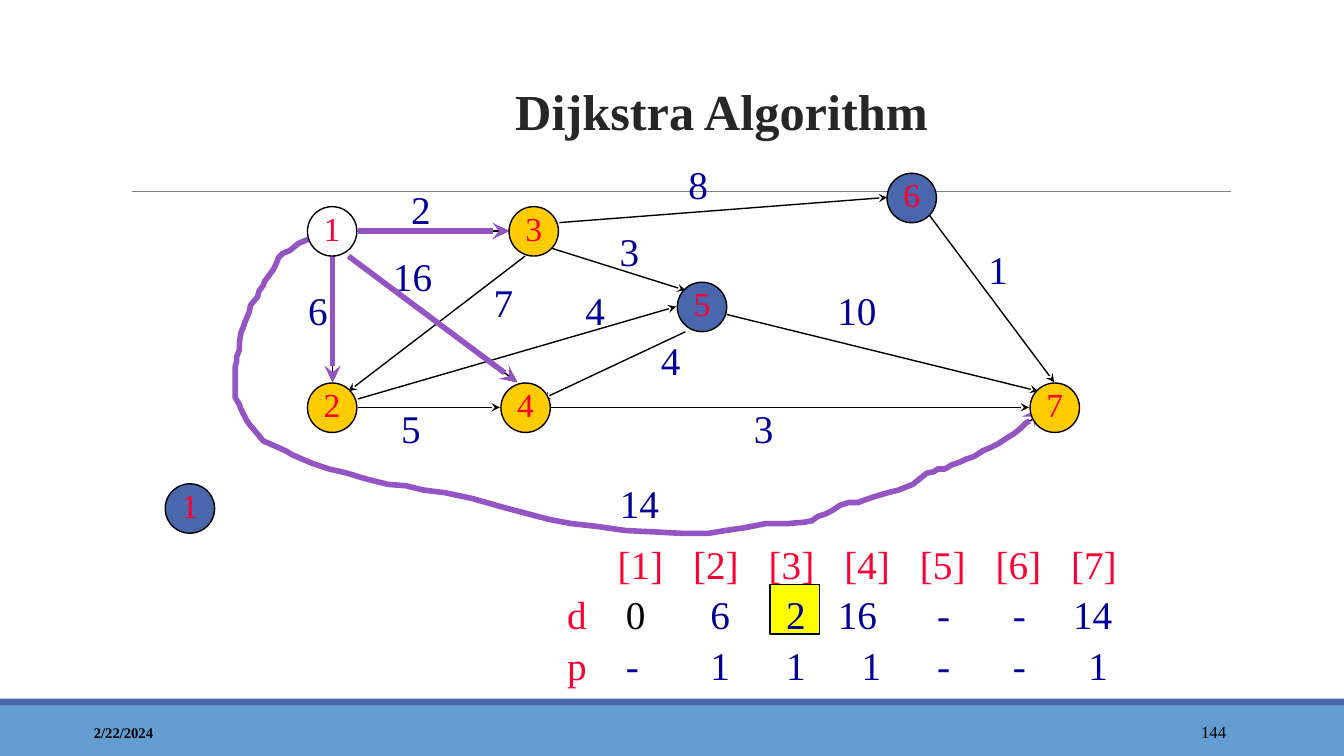
from typing import NamedTuple

from lxml import etree
from pptx import Presentation
from pptx.dml.color import RGBColor
from pptx.enum.shapes import MSO_CONNECTOR, MSO_SHAPE
from pptx.enum.text import MSO_ANCHOR, PP_ALIGN
from pptx.oxml.ns import qn
from pptx.util import Pt

STRAIGHT = MSO_CONNECTOR.STRAIGHT
RECT, OVAL = MSO_SHAPE.RECTANGLE, MSO_SHAPE.OVAL
TOP, MIDDLE, BOTTOM = MSO_ANCHOR.TOP, MSO_ANCHOR.MIDDLE, MSO_ANCHOR.BOTTOM
LEFT, CENTER, RIGHT = PP_ALIGN.LEFT, PP_ALIGN.CENTER, PP_ALIGN.RIGHT

FONT = "Times New Roman"
COLORS = {
    "black": "000000", "white": "FFFFFF", "title": "262626", "rule": "7F7F7F",
    "band": "629DD1", "blue": "4A66AC", "gold": "FFCC00", "yellow": "FFFF00",
    "purple": "9454C3", "red": "FF0033", "navy": "000099",
}
NODE_SIZE = 35.3
TEXT_H = 41
LABEL_SIZE = 28


class Node(NamedTuple):
    label: str
    x: float
    y: float
    fill: str


class Edge(NamedTuple):
    x1: float
    y1: float
    x2: float
    y2: float
    relaxed: bool = False


class Label(NamedTuple):
    text: str
    x: float
    y: float
    color: str = "navy"


NODES = [
    Node("1", 219.6, 147.6, "white"), Node("2", 219.6, 273.6, "gold"),
    Node("3", 363.6, 147.6, "gold"), Node("4", 357.8, 273.6, "gold"),
    Node("5", 483.8, 201.6, "blue"), Node("6", 633.6, 123.8, "blue"),
    Node("7", 735.8, 273.6, "gold"), Node("1", 118, 345.6, "blue"),
]
EDGES = [
    Edge(663, 152.6, 753, 273), Edge(399.6, 159, 633.6, 141),
    Edge(255.6, 165, 363.6, 165, True), Edge(237.6, 183, 237.6, 273, True),
    Edge(255.6, 291, 357, 291), Edge(249, 183, 369.4, 273, True),
    Edge(375, 183, 249, 279.4), Edge(393, 177, 489.6, 207.4),
    Edge(255.6, 285, 483, 219), Edge(489.6, 237, 387.4, 285),
    Edge(393, 291, 735, 291), Edge(519, 224.6, 741.6, 279.4),
]
WEIGHTS = [
    Label("2", 286.6, 129), Label("6", 213, 201), Label("16", 273.6, 177),
    Label("7", 345.6, 195), Label("8", 484.6, 111), Label("10", 591, 201),
    Label("3", 435.6, 159), Label("14", 435.6, 339), Label("4", 411, 201),
    Label("4", 465, 237), Label("5", 279.4, 285), Label("3", 531.4, 285),
    Label("1", 699, 171.4),
]
# Edge from node 1 round to node 7
CURVE = [
    (220, 171), (213, 174), (207, 179), (202, 181), (199, 184), (197, 189),
    (195, 193), (192, 197), (189, 201), (188, 204), (185, 208), (184, 212),
    (179, 218), (178, 223), (175, 230), (174, 233), (172, 238), (171, 245),
    (171, 250), (169, 255), (169, 258), (168, 262), (168, 284), (171, 289),
    (172, 292), (176, 300), (178, 303), (184, 310), (188, 315), (195, 318),
    (204, 322), (209, 325), (216, 328), (223, 331), (235, 335), (248, 338),
    (261, 342), (277, 346), (290, 347), (302, 350), (318, 352), (337, 356),
    (358, 362), (377, 367), (392, 371), (408, 374), (426, 376), (447, 379),
    (468, 380), (487, 381), (506, 381), (518, 379), (532, 377), (547, 374),
    (563, 374), (575, 373), (580, 372), (584, 369), (590, 367), (594, 365),
    (600, 361), (606, 359), (613, 359), (618, 357), (624, 355), (634, 352),
    (642, 350), (647, 348), (652, 346), (657, 342), (662, 338), (667, 337),
    (670, 335), (675, 335), (680, 332), (686, 330), (690, 328), (696, 326),
    (702, 322), (707, 320), (713, 317), (719, 313), (724, 310), (729, 306),
    (733, 302), (737, 300), (740, 296), (742, 292),
]
# Distances and predecessors: column lefts, then one string per node
HEAD_X, HEAD_Y, COL_W, ROW_H = 434, 382.4, 54, 36
VALUE_X = [440] + [500.4 + COL_W * i for i in range(6)]
ROWS = {"d": ["0", "6", "2", "16", "-", "-", "14"],
        "p": ["-", "1", "1", "1", "-", "-", "1"]}
WIDE_SHIFT = {"16": -17, "14": -11}


def rgb(name: str) -> RGBColor:
    return RGBColor.from_string(COLORS[name])


def write(tf, text: str, size: float, color: str, bold: bool = False,
          align=LEFT, anchor=TOP, spacing: float = 1.0) -> None:
    tf.word_wrap = True
    tf.vertical_anchor = anchor
    p = tf.paragraphs[0]
    p.alignment, p.line_spacing = align, spacing
    r = p.add_run()
    r.text = text
    r.font.name, r.font.size, r.font.bold = FONT, Pt(size), bold
    r.font.color.rgb = rgb(color)


def add_text(s, x: float, y: float, w: float, h: float, text: str,
             size: float, color: str, **style) -> None:
    sp = s.shapes.add_textbox(Pt(x), Pt(y), Pt(w), Pt(h))
    write(sp.text_frame, text, size, color, **style)


def add_label(s, label: Label) -> None:
    width = 18 + 15 * len(label.text)
    add_text(s, label.x, label.y, width, TEXT_H, label.text, LABEL_SIZE, label.color)


def add_box(s, kind, x: float, y: float, w: float, h: float, fill: str,
            outlined: bool = True):
    sp = s.shapes.add_shape(kind, Pt(x), Pt(y), Pt(w), Pt(h))
    sp.shadow.inherit = False
    sp.fill.solid()
    sp.fill.fore_color.rgb = rgb(fill)
    if outlined:
        sp.line.color.rgb, sp.line.width = rgb("black"), Pt(1)
    else:
        sp.line.fill.background()
    return sp


def add_node(s, node: Node) -> None:
    sp = add_box(s, OVAL, node.x, node.y, NODE_SIZE, NODE_SIZE, node.fill)
    tf = sp.text_frame
    tf.margin_left = tf.margin_right = tf.margin_top = 0
    tf.margin_bottom = Pt(5)
    write(tf, node.label, 24, "red", align=CENTER, anchor=MIDDLE)
    tf.word_wrap = False


def style_line(sp, color: str, width: float, arrow: bool = True) -> None:
    sp.line.color.rgb, sp.line.width = rgb(color), Pt(width)
    if arrow:
        ln = sp.line._get_or_add_ln()
        etree.SubElement(ln, qn("a:tailEnd"), type="stealth")


def add_line(s, edge: Edge, color: str, width: float, arrow: bool = True) -> None:
    sp = s.shapes.add_connector(STRAIGHT, Pt(edge.x1), Pt(edge.y1),
                                Pt(edge.x2), Pt(edge.y2))
    style_line(sp, color, width, arrow)
    etree.SubElement(sp._element.spPr, qn("a:effectLst"))


def add_curve(s, color: str, width: float) -> None:
    builder = s.shapes.build_freeform(*CURVE[0], scale=Pt(1))
    builder.add_line_segments(CURVE[1:], close=False)
    sp = builder.convert_to_shape()
    sp.shadow.inherit = False
    sp.fill.background()
    style_line(sp, color, width)


def main() -> None:
    prs = Presentation()
    prs.slide_width, prs.slide_height = Pt(960), Pt(540)
    s = prs.slides.add_slide(prs.slide_layouts[6])

    # Footer, rule and title
    add_box(s, RECT, 0, 504, 960, 36, "band", outlined=False)
    add_box(s, RECT, 0, 499, 960, 5, "blue", outlined=False)
    add_line(s, Edge(94.3, 136.8, 879, 136.8), "rule", 0.75, arrow=False)
    add_text(s, 60, 508.6, 216, 28.8, "2/22/2024", 10.5, "black",
             bold=True, anchor=MIDDLE)
    add_text(s, 780, 508.6, 103, 28.8, "144", 12, "black",
             align=RIGHT, anchor=MIDDLE)
    add_text(s, 119.5, 27.4, 792, 76.3, "Dijkstra Algorithm", 36, "title",
             bold=True, align=CENTER, anchor=BOTTOM, spacing=1.1)

    # Graph: edges, weights, relaxed edges, nodes
    for edge in EDGES:
        add_line(s, edge, "black", 1)
    add_curve(s, "black", 1)
    for weight in WEIGHTS:
        add_label(s, weight)
    for edge in EDGES:
        if edge.relaxed:
            add_line(s, edge, "purple", 4)
    add_curve(s, "purple", 4)
    for node in NODES:
        add_node(s, node)

    # Distance and predecessor grid
    for i in range(7):
        add_label(s, Label(f"[{i + 1}]", HEAD_X + COL_W * i, HEAD_Y, "red"))
    add_box(s, RECT, 550, 417.6, NODE_SIZE, NODE_SIZE, "yellow")
    for row, (name, values) in enumerate(ROWS.items(), start=1):
        y = HEAD_Y + ROW_H * row
        add_label(s, Label(name, 398, y, "red"))
        for x, value in zip(VALUE_X, values):
            color = "black" if value == "0" else "navy"
            add_label(s, Label(value, x + WIDE_SHIFT.get(value, 0), y, color))

    prs.save("out.pptx")


if __name__ == "__main__":
    main()
